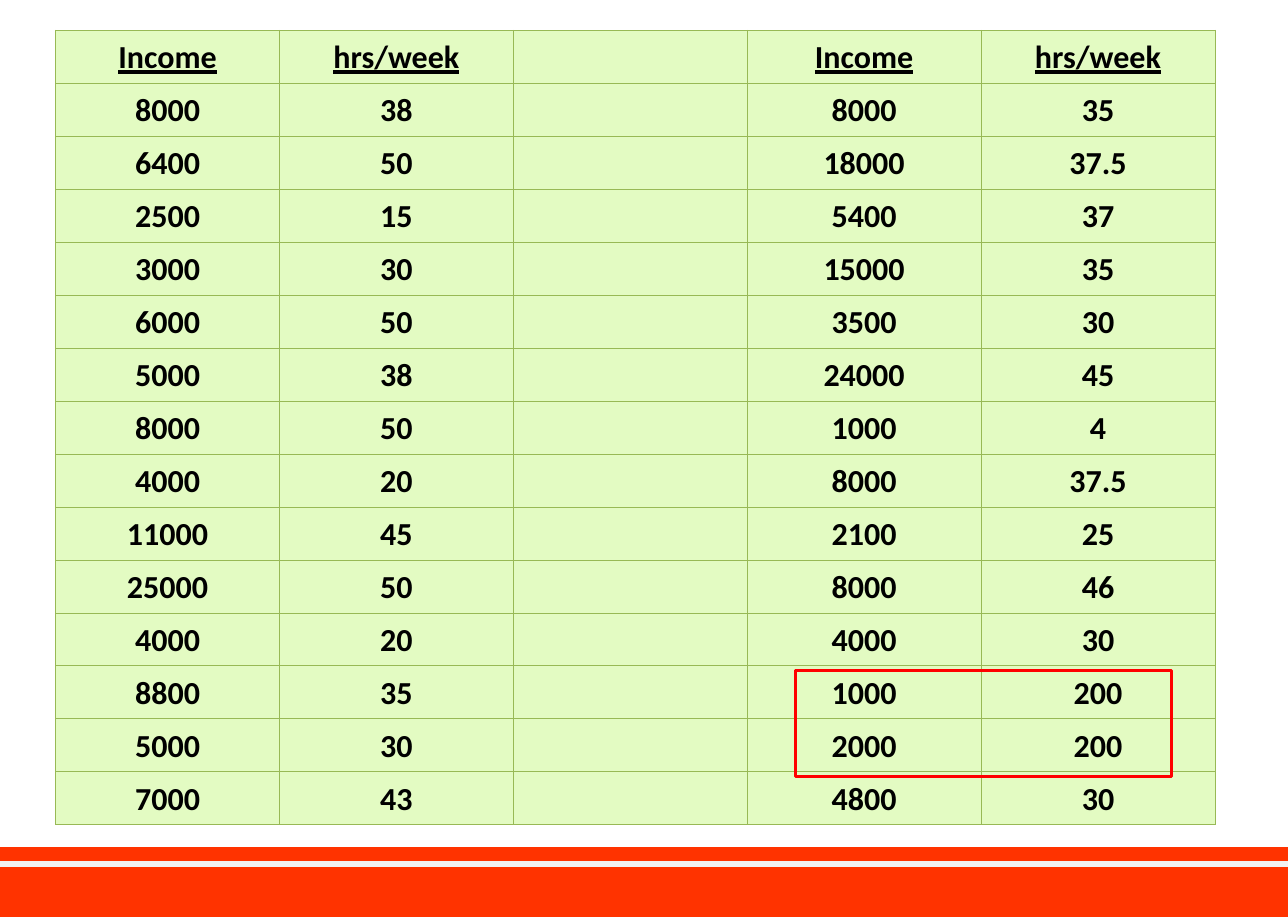
from dataclasses import dataclass

from lxml import etree
from pptx import Presentation
from pptx.dml.color import RGBColor
from pptx.enum.shapes import MSO_CONNECTOR, MSO_SHAPE
from pptx.enum.text import MSO_ANCHOR, PP_ALIGN
from pptx.oxml.ns import qn
from pptx.util import Inches, Pt

RECTANGLE = MSO_SHAPE.RECTANGLE
STRAIGHT = MSO_CONNECTOR.STRAIGHT
BOTTOM = MSO_ANCHOR.BOTTOM
CENTER = PP_ALIGN.CENTER


@dataclass(frozen=True)
class Theme:
    font: str = "Calibri"
    text_size: float = 32
    text: str = "000000"
    cell: str = "E3FBC2"
    grid: str = "98B955"
    grid_width: float = 0.75
    banner: str = "FF3300"
    stripe: str = "F2F2F2"
    stripe_width: float = 6
    outlier: str = "FF0000"
    outlier_width: float = 3


THEME = Theme()
SLIDE_WIDTH, SLIDE_HEIGHT = 17.87, 12.72
COLUMN_WIDTHS = [3.11, 3.24, 3.25, 3.24, 3.25]
ROW_HEIGHT = 11.02 / 15
HEADINGS = ("Income", "hrs/week", "", "Income", "hrs/week")
LEFT_SURVEY = [
    ("8000", "38"), ("6400", "50"), ("2500", "15"), ("3000", "30"),
    ("6000", "50"), ("5000", "38"), ("8000", "50"), ("4000", "20"),
    ("11000", "45"), ("25000", "50"), ("4000", "20"), ("8800", "35"),
    ("5000", "30"), ("7000", "43"),
]
RIGHT_SURVEY = [
    ("8000", "35"), ("18000", "37.5"), ("5400", "37"), ("15000", "35"),
    ("3500", "30"), ("24000", "45"), ("1000", "4"), ("8000", "37.5"),
    ("2100", "25"), ("8000", "46"), ("4000", "30"), ("1000", "200"),
    ("2000", "200"), ("4800", "30"),
]


def rgb(value):
    return RGBColor.from_string(value)


def add_rectangle(slide, left, top, width, height):
    rectangle = slide.shapes.add_shape(
        RECTANGLE, Inches(left), Inches(top), Inches(width), Inches(height))
    rectangle.shadow.inherit = False
    return rectangle


def add_banner(slide):
    """Draw the red footer band and the pale stripe across it."""
    banner = add_rectangle(slide, -0.03, 11.75, 17.9, 0.97)
    banner.fill.solid()
    banner.fill.fore_color.rgb = rgb(THEME.banner)
    banner.line.fill.background()

    stripe = slide.shapes.add_connector(
        STRAIGHT, Inches(-0.03), Inches(11.99), Inches(SLIDE_WIDTH), Inches(11.99))
    stripe.line.color.rgb = rgb(THEME.stripe)
    stripe.line.width = Pt(THEME.stripe_width)
    etree.SubElement(stripe._element.spPr, qn("a:effectLst"))


def add_outlier_frame(slide):
    frame = add_rectangle(slide, 11.04, 9.3, 5.21, 1.47)
    frame.fill.background()
    frame.line.color.rgb = rgb(THEME.outlier)
    frame.line.width = Pt(THEME.outlier_width)


def set_borders(cell):
    properties = cell._tc.get_or_add_tcPr()
    for side in ("a:lnL", "a:lnR", "a:lnT", "a:lnB"):
        border = etree.SubElement(
            properties, qn(side), w=str(Pt(THEME.grid_width)))
        fill = etree.SubElement(border, qn("a:solidFill"))
        etree.SubElement(fill, qn("a:srgbClr"), val=THEME.grid)


def fill_cell(cell, text, is_heading):
    set_borders(cell)
    cell.fill.solid()
    cell.fill.fore_color.rgb = rgb(THEME.cell)
    cell.vertical_anchor = BOTTOM
    cell.margin_left = cell.margin_right = Inches(0.18)
    cell.margin_top = cell.margin_bottom = Inches(0.08)
    if not text:
        return
    paragraph = cell.text_frame.paragraphs[0]
    paragraph.alignment = CENTER
    run = paragraph.add_run()
    run.text = text
    run.font.name = THEME.font
    run.font.size = Pt(THEME.text_size)
    run.font.bold = True
    run.font.underline = is_heading
    run.font.color.rgb = rgb(THEME.text)


def add_survey_table(slide):
    pairs = zip(LEFT_SURVEY, RIGHT_SURVEY)
    rows = [HEADINGS] + [(*left, "", *right) for left, right in pairs]
    table = slide.shapes.add_table(
        len(rows), len(COLUMN_WIDTHS), Inches(0.77), Inches(0.42),
        Inches(sum(COLUMN_WIDTHS)), Inches(ROW_HEIGHT * len(rows))).table
    table.first_row = False
    table.horz_banding = False
    for column, width in zip(table.columns, COLUMN_WIDTHS):
        column.width = Inches(width)
    for row_number, values in enumerate(rows):
        table.rows[row_number].height = Inches(ROW_HEIGHT)
        for column_number, text in enumerate(values):
            fill_cell(table.cell(row_number, column_number), text, row_number == 0)


def main():
    presentation = Presentation()
    presentation.slide_width = Inches(SLIDE_WIDTH)
    presentation.slide_height = Inches(SLIDE_HEIGHT)
    slide = presentation.slides.add_slide(presentation.slide_layouts[6])
    add_banner(slide)
    add_survey_table(slide)
    add_outlier_frame(slide)
    presentation.save("out.pptx")


if __name__ == "__main__":
    main()
